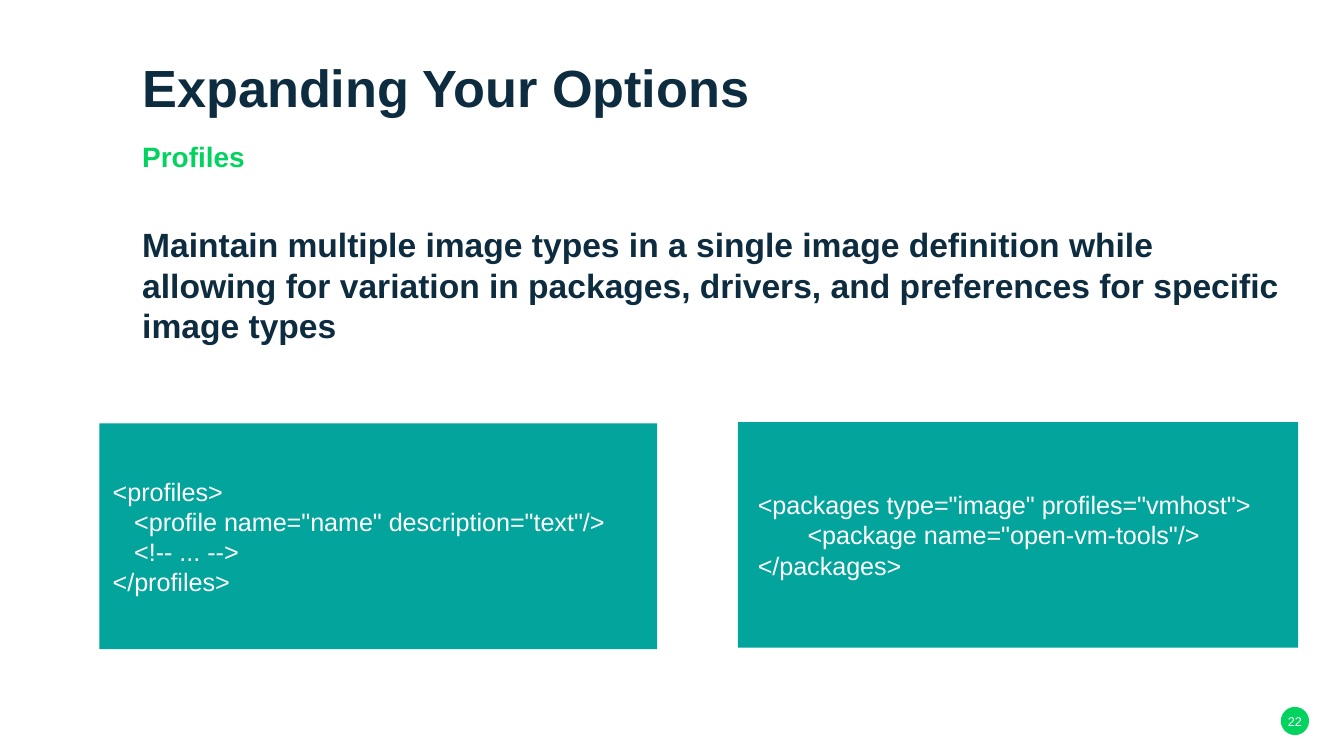
import pptx
from dataclasses import dataclass
from pptx.dml.color import RGBColor
from pptx.enum.shapes import MSO_SHAPE
from pptx.enum.text import MSO_ANCHOR, MSO_AUTO_SIZE, PP_ALIGN
from pptx.util import Inches, Pt


@dataclass(frozen=True)
class Theme:
    font: str = "Arial"
    navy: str = "0D2C40"
    green: str = "02D35F"
    teal: str = "02A49C"
    white: str = "FFFFFF"
    title_size: float = 28
    subtitle_size: float = 15
    body_size: float = 18
    code_size: float = 13.5
    number_size: float = 6.8


THEME = Theme()
TEXT_LEFT, TEXT_WIDTH = 0.96, 8.71

# Each code line is an indent in inches and its text.
PROFILES_CODE = [
    (0, "<profiles>"),
    (0.16, '<profile name="name" description="text"/>'),
    (0.16, "<!-- ... -->"),
    (0, "</profiles>"),
]
PACKAGES_CODE = [
    (0.05, '<packages type="image" profiles="vmhost">'),
    (0.42, '<package name="open-vm-tools"/>'),
    (0.05, "</packages>"),
]


def style_paragraph(para, size, color, bold=False, align=PP_ALIGN.LEFT):
    para.alignment = align
    para.font.name = THEME.font
    para.font.size = Pt(size)
    para.font.bold = bold
    para.font.color.rgb = RGBColor.from_string(color)


def set_title(page, text):
    title = page.shapes.title
    title.left, title.top = Inches(TEXT_LEFT), Inches(0.38)
    title.width, title.height = Inches(TEXT_WIDTH), Inches(0.64)
    frame = title.text_frame
    frame.text = text
    frame.auto_size = MSO_AUTO_SIZE.NONE
    frame.vertical_anchor = MSO_ANCHOR.MIDDLE
    para = frame.paragraphs[0]
    style_paragraph(para, THEME.title_size, THEME.navy, bold=True)
    para.line_spacing = Pt(25.2)


def add_heading(page, text, top, height, size, color, line_spacing=1.0):
    box = page.shapes.add_textbox(
        Inches(TEXT_LEFT), Inches(top), Inches(TEXT_WIDTH), Inches(height))
    box.text_frame.word_wrap = True
    box.text_frame.text = text
    para = box.text_frame.paragraphs[0]
    style_paragraph(para, size, color, bold=True)
    para.line_spacing = line_spacing
    para.space_after = Pt(4)


def add_filled_shape(page, kind, left, top, width, height, color):
    shape = page.shapes.add_shape(
        kind, Inches(left), Inches(top), Inches(width), Inches(height))
    shape.shadow.inherit = False
    shape.fill.solid()
    shape.fill.fore_color.rgb = RGBColor.from_string(color)
    shape.line.fill.background()
    shape.text_frame.vertical_anchor = MSO_ANCHOR.MIDDLE
    return shape


def add_code_panel(page, left, top, width, lines):
    panel = add_filled_shape(
        page, MSO_SHAPE.RECTANGLE, left, top, width, 1.68, THEME.teal)
    frame = panel.text_frame
    frame.word_wrap = True
    frame.text = "\n".join(text for _, text in lines)
    for para, (indent, _) in zip(frame.paragraphs, lines):
        style_paragraph(para, THEME.code_size, THEME.white)
        para._p.get_or_add_pPr().set("marL", str(Inches(indent)))


def add_page_number(page, number):
    badge = add_filled_shape(
        page, MSO_SHAPE.OVAL, 9.53, 5.26, 0.21, 0.21, THEME.green)
    frame = badge.text_frame
    frame.margin_left = frame.margin_right = 0
    frame.margin_top = frame.margin_bottom = 0
    frame.word_wrap = False
    frame.text = str(number)
    style_paragraph(frame.paragraphs[0], THEME.number_size, THEME.white,
                    align=PP_ALIGN.CENTER)


def main():
    deck = pptx.Presentation()
    deck.slide_width = Inches(10)
    deck.slide_height = deck.slide_width * 9 // 16
    page = deck.slides.add_slide(deck.slide_layouts.get_by_name("Title Only"))
    add_page_number(page, 22)
    set_title(page, "Expanding Your Options")
    add_heading(page, "Profiles", 1.02, 0.48,
                THEME.subtitle_size, THEME.green, line_spacing=0.9)
    add_heading(page, "Maintain multiple image types in a single image definition "
                "while allowing for variation in packages, drivers, and "
                "preferences for specific image types",
                1.62, 1.11, THEME.body_size, THEME.navy)
    add_code_panel(page, 0.74, 3.15, 4.15, PROFILES_CODE)
    add_code_panel(page, 5.49, 3.14, 4.17, PACKAGES_CODE)
    deck.save("out.pptx")


if __name__ == "__main__":
    main()
